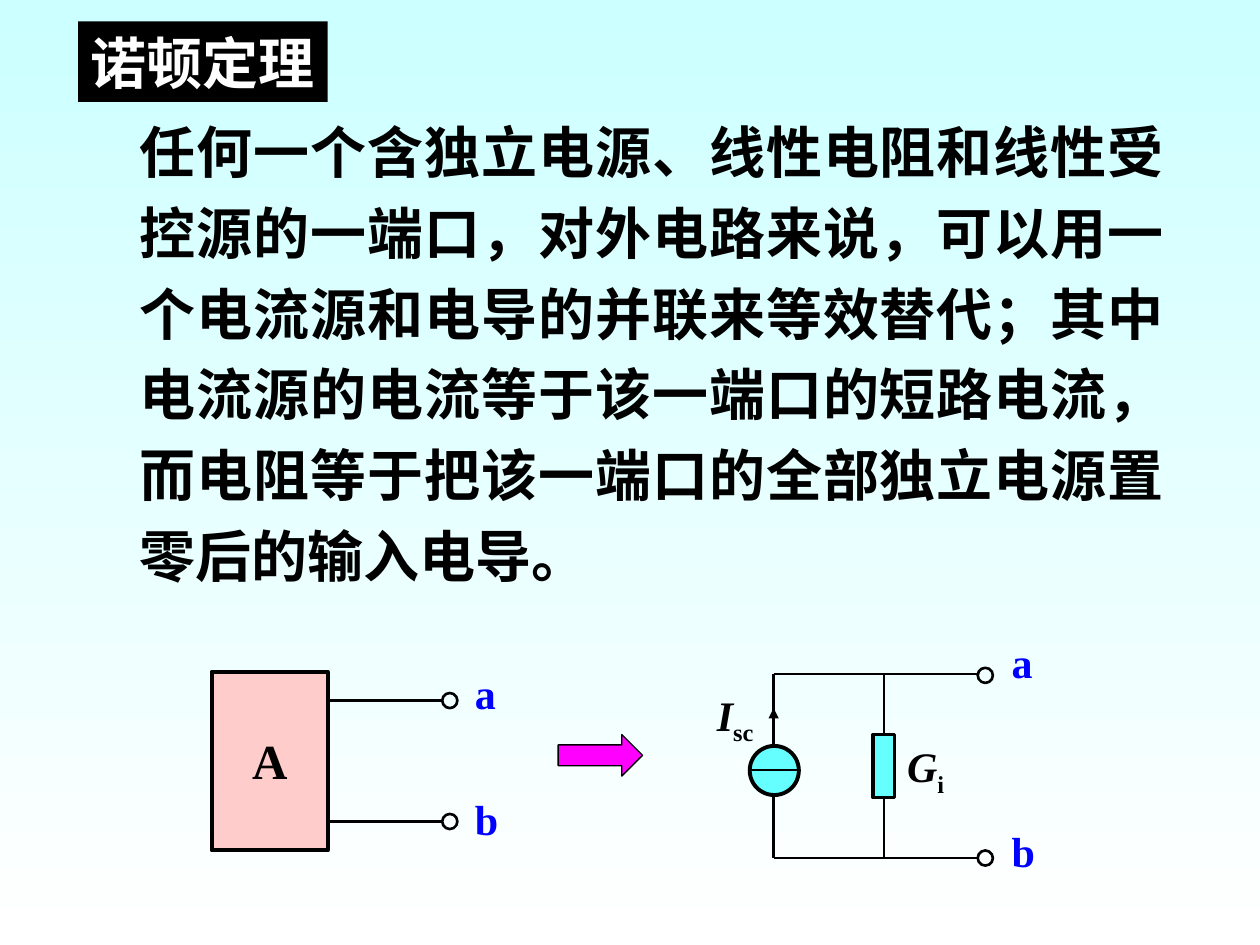
from lxml import etree
from pptx import Presentation
from pptx import util as u
from pptx.dml.color import RGBColor
from pptx.enum import shapes, text
from pptx.oxml.ns import qn

prs = Presentation()
prs.slide_width, prs.slide_height = u.Inches(10), u.Inches(7.5)
s = prs.slides.add_slide(prs.slide_layouts[6])
rgb = RGBColor.from_string
CELL = prs.slide_width / 100  # grid of 100 columns by 75 rows
KIND = shapes.MSO_SHAPE
BLACK, WHITE, BLUE, CYAN = "000000", "FFFFFF", "0000FF", "66FFFF"
MIDDLE, CENTER = text.MSO_ANCHOR.MIDDLE, text.PP_ALIGN.CENTER


def add_shape(kind, box, fill=None, width=None):
    sp = s.shapes.add_shape(kind, *(round(v * CELL) for v in box))
    sp.shadow.inherit = False
    if fill:
        sp.fill.solid()
        sp.fill.fore_color.rgb = rgb(fill)
    else:
        sp.fill.background()
    if width:
        sp.line.color.rgb = rgb(BLACK)
        sp.line.width = u.Pt(width)
    else:
        sp.line.fill.background()
    return sp


def write(sp, runs, size, color, align=None, anchor=text.MSO_ANCHOR.TOP, wrap=True):
    """The first run is upright unless a subscript follows it."""
    tf = sp.text_frame
    tf.word_wrap = wrap
    tf.auto_size = text.MSO_AUTO_SIZE.SHAPE_TO_FIT_TEXT
    tf.vertical_anchor = anchor
    p = tf.paragraphs[0]
    p.alignment = align
    for i, words in enumerate(runs):
        r = p.add_run()
        r.text = words
        r.font.name = "Times New Roman"
        r.font.size = u.Pt(size)
        r.font.bold = True
        r.font.color.rgb = rgb(color)
        if len(runs) > 1:
            r.font.italic = i == 0
        if i:
            r.font._element.set("baseline", "-25000")
    return p


# Background
bg = s.background.fill
bg.gradient()
bg.gradient_angle = 270
for stop, color, pos in zip(bg.gradient_stops, ("CCFFFF", WHITE), (0, 1)):
    stop.color.rgb = rgb(color)
    stop.position = pos

# Theorem
body = s.shapes.add_textbox(*(round(v * CELL) for v in (10.1, 7.8, 83.3, 39.4)))
p = write(body, ["任何一个含独立电源、线性电阻和线性受控源的一端口，对外电路来说，"
                 "可以用一个电流源和电导的并联来等效替代；其中电流源的电流等于该一端口的短路电流，"
                 "而电阻等于把该一端口的全部独立电源置零后的输入电导。"],
          32, BLACK, text.PP_ALIGN.JUSTIFY)
p.line_spacing = 1.2

# Title
title = add_shape(KIND.RECTANGLE, (6.2, 1.7, 19.8, 6.4), BLACK)
write(title, ["诺顿定理"], 32, WHITE, CENTER, MIDDLE, False)

# Network, equivalence arrow, conductance and current source
add_shape(KIND.RIGHT_ARROW, (44.3, 58.3, 6.7, 3.3), "FF00FF", 0.75)
add_shape(KIND.RECTANGLE, (16.8, 53.3, 9.2, 14.2), "FFCCCC", 2.25)
conductance = add_shape(KIND.RECTANGLE, (69.3, 58.3, 1.7, 5), CYAN, 2.25)
add_shape(KIND.OVAL, (59.5, 59.2, 3.9, 3.9), CYAN, 2.25)

# Terminals
for x, y in ((35.1, 55), (35.1, 64.6), (77.6, 53), (77.6, 67.5)):
    add_shape(KIND.OVAL, (x, y, 1.2, 1.2), width=1.5)

# Wires: start, end, side of the conductance where the wire ends
TOP, BOTTOM, LEFT, RIGHT = 53.5, 68.1, 61.4, 70.15
wires = [
    ((26, 55.6), (35.1, 55.6), None),
    ((26, 65.2), (35.1, 65.2), None),
    ((LEFT, TOP), (77.6, TOP), None),
    ((LEFT, BOTTOM), (77.6, BOTTOM), None),
    ((RIGHT, TOP), (RIGHT, 58.3), 0),
    ((RIGHT, BOTTOM), (RIGHT, 63.3), 2),
    ((LEFT, TOP), (LEFT, 59.2), None),
    ((LEFT, 63.1), (LEFT, BOTTOM), None),
    ((59.5, 61.1), (63.4, 61.1), None),
    ((LEFT, 58.3), (LEFT, 56.2), None),
]
for start, end, side in wires:
    c = s.shapes.add_connector(shapes.MSO_CONNECTOR.STRAIGHT,
                               *(round(v * CELL) for v in start + end))
    c.line.color.rgb = rgb(BLACK)
    c.line.width = u.Pt(1.5)
    if side is not None:
        c.end_connect(conductance, side)
    etree.SubElement(c._element.spPr, qn("a:effectLst"))

# The last wire carries the current arrow
etree.SubElement(c.line._get_or_add_ln(), qn("a:tailEnd"), type="triangle")

# Labels: box, runs, size, colour, centred
labels = [
    ((19, 57.5, 4.8, 5.7), ["A"], 28, BLACK, True),
    ((36.7, 52.5, 3.6, 5), ["a"], 24, BLUE, True),
    ((36.7, 62.5, 3.8, 5), ["b"], 24, BLUE, True),
    ((79.3, 50, 5.8, 5), ["a"], 24, BLUE, False),
    ((79.3, 65, 4.2, 5), ["b"], 24, BLUE, False),
    ((71, 58.3, 12.5, 5.6), ["G", "i"], 24, BLACK, False),
    ((55.9, 54.2, 7.5, 5.6), ["I", "sc"], 24, BLACK, False),
]
for box, runs, size, color, centred in labels:
    label = s.shapes.add_textbox(*(round(v * CELL) for v in box))
    if centred:
        write(label, runs, size, color, CENTER, MIDDLE, False)
    else:
        write(label, runs, size, color)

prs.save("out.pptx")
